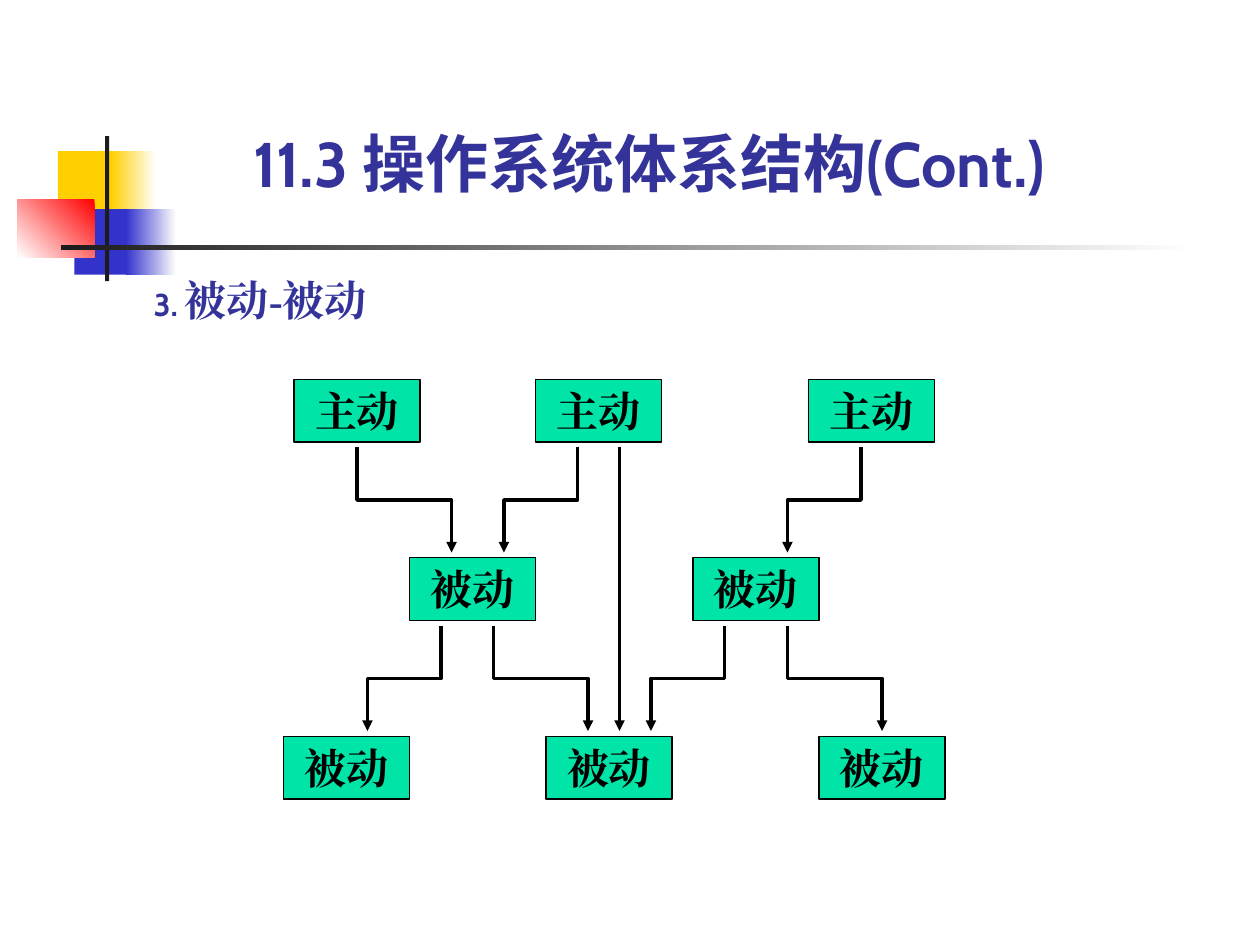
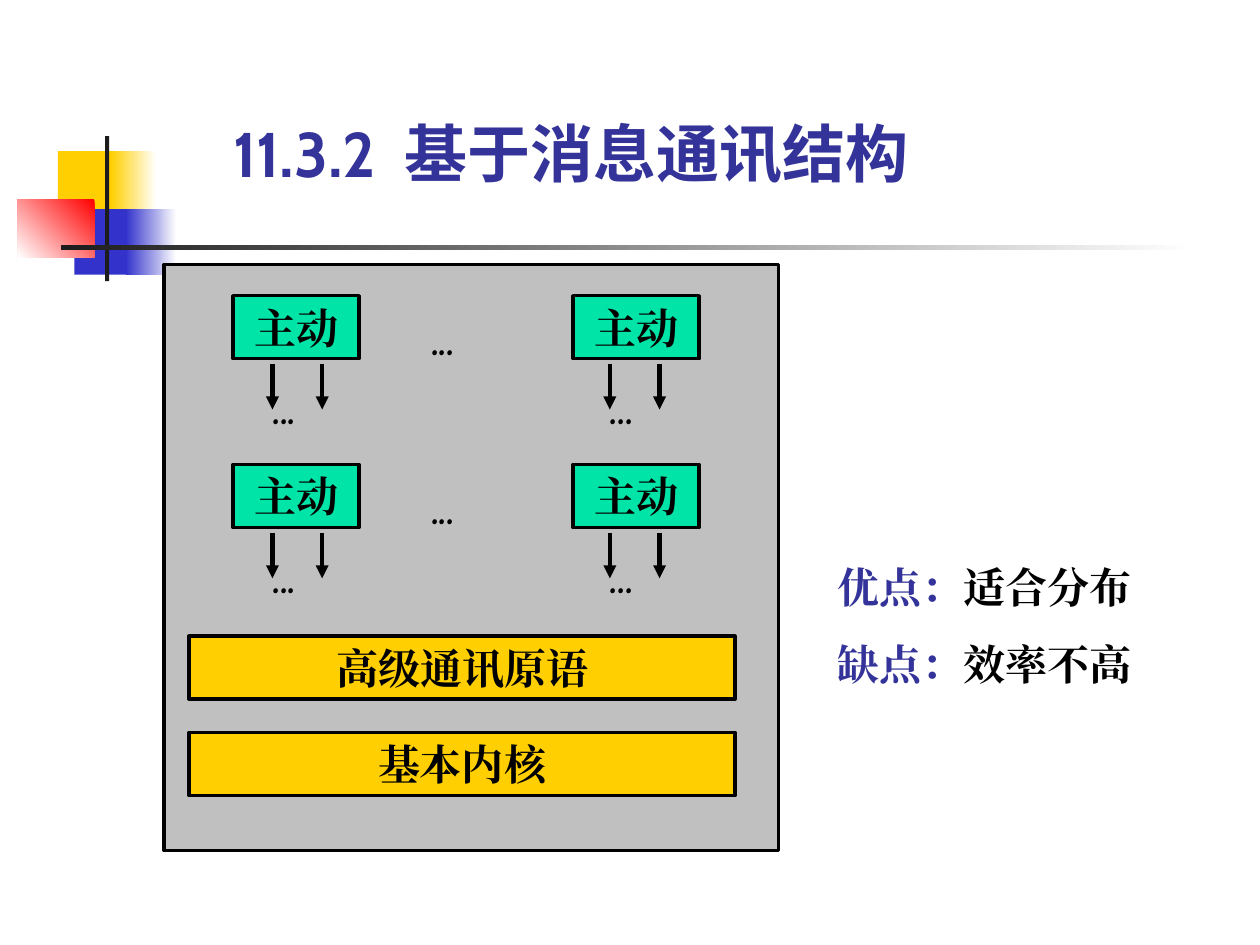
from pptx import Presentation
from pptx.dml.color import RGBColor
from pptx.enum.shapes import MSO_CONNECTOR, MSO_SHAPE
from pptx.enum.text import MSO_ANCHOR, PP_ALIGN
from pptx.oxml.ns import qn
from pptx.util import Pt
from lxml import etree

COLORS = {
    "yellow": "FFCF01", "blue": "3333CC", "red": "FF0000", "white": "FFFFFF",
    "dark": "1C1C1C", "black": "000000", "green": "00E4A8", "gray": "C0C0C0",
    "navy": "333399",
}
LATIN, BODY, DOTS = "Cabin", "Times New Roman", "Comic Neue"


def rgb(name):
    return RGBColor.from_string(COLORS[name])


def add_run(p, text, size=24, font=BODY, color="black"):
    r = p.add_run()
    r.text = text
    r.font.size, r.font.name, r.font.bold = Pt(size), font, True
    r.font.color.rgb = rgb(color)
    etree.SubElement(r.font._element, qn("a:ea")).set("typeface", font)


class Deck:
    def __init__(self):
        self.prs = Presentation()
        self.prs.slide_width, self.prs.slide_height = Pt(720), Pt(540)
        self.s = None

    def new_slide(self, title, left, top, width):
        self.s = self.prs.slides.add_slide(self.prs.slide_layouts[6])
        self.ornament()
        self.text([[(title, {"size": 36, "font": LATIN, "color": "navy"})]],
                  left, top, width, 43.2, anchor=MSO_ANCHOR.BOTTOM)

    def rect(self, left, top, width, height, fill, line=0):
        """Draw a rectangle; a (start, end, angle) fill makes a gradient."""
        sp = self.s.shapes.add_shape(MSO_SHAPE.RECTANGLE, Pt(left), Pt(top),
                                     Pt(width), Pt(height))
        sp.shadow.inherit = False
        if isinstance(fill, tuple):
            *ends, angle = fill
            sp.fill.gradient()
            sp.fill.gradient_angle = angle
            for stop, name in zip(sp.fill.gradient_stops, ends):
                stop.color.rgb = rgb(name)
        else:
            sp.fill.solid()
            sp.fill.fore_color.rgb = rgb(fill)
        if line:
            sp.line.color.rgb = rgb("black")
            sp.line.width = Pt(line)
        else:
            sp.line.fill.background()
        return sp

    def ornament(self):
        self.rect(33.1, 86.4, 34.6, 37.4, "yellow")
        self.rect(63.4, 86.4, 25.9, 37.4, ("white", "yellow", 180))
        self.rect(42.5, 119.5, 33.1, 37.4, "blue")
        self.rect(72, 119.5, 28.8, 37.4, ("white", "blue", 180))
        self.rect(10.1, 113.8, 43.9, 33.1, ("red", "white", 225))
        self.rect(60, 77.8, 2.4, 82.8, "dark")
        self.rect(34.8, 140.2, 648, 2.4, ("white", "dark", 180))

    def box(self, text, left, top, width=72, fill="green", line=2):
        tf = self.rect(left, top, width, 36, fill, line).text_frame
        tf.word_wrap = True
        tf.vertical_anchor = MSO_ANCHOR.MIDDLE
        p = tf.paragraphs[0]
        p.alignment = PP_ALIGN.CENTER
        add_run(p, text)

    def text(self, paragraphs, left, top, width, height,
             anchor=MSO_ANCHOR.TOP, spacing=None):
        """Write paragraphs, each a list of (text, format) runs."""
        tf = self.s.shapes.add_textbox(Pt(left), Pt(top), Pt(width),
                                       Pt(height)).text_frame
        tf.word_wrap = True
        tf.vertical_anchor = anchor
        tf.margin_left = tf.margin_right = tf.margin_top = tf.margin_bottom = 0
        for i, runs in enumerate(paragraphs):
            p = tf.add_paragraph() if i else tf.paragraphs[0]
            if i:
                p.space_before = Pt(15)
            if spacing:
                p.line_spacing = spacing
            for text, style in runs:
                add_run(p, text, **style)

    def dots(self, left, top):
        self.text([[("...", {"font": DOTS})]], left, top, 39.6, 23, spacing=0.8)

    def arrow(self, *points, width=2):
        """Draw an arrow: straight for two points, bent for more."""
        pts = [(Pt(x), Pt(y)) for x, y in points]
        if len(pts) == 2:
            sp = self.s.shapes.add_connector(MSO_CONNECTOR.STRAIGHT,
                                             *pts[0], *pts[1])
        else:
            builder = self.s.shapes.build_freeform(*pts[0])
            builder.add_line_segments(pts[1:], close=False)
            sp = builder.convert_to_shape()
            sp.fill.background()
        sp.line.color.rgb = rgb("black")
        sp.line.width = Pt(width)
        ln = sp._element.spPr.find(qn("a:ln"))
        etree.SubElement(ln, qn("a:tailEnd")).set("type", "triangle")
        etree.SubElement(sp._element.spPr, qn("a:effectLst"))


def passive_slide(deck):
    deck.new_slide("11.3 操作系统体系结构(Cont.)", 144.7, 71.3, 532.8)
    deck.text([[("3. ", {"size": 18, "font": LATIN, "color": "navy"}),
                ("被动-被动", {"color": "navy"})]], 87.8, 157, 150, 28.8)

    # Three levels of modules
    first_row, row_step = 216.7, 102
    levels = [("主动", (168, 306, 462)), ("被动", (234, 396)),
              ("被动", (162, 312, 468))]
    for row, (label, lefts) in enumerate(levels):
        for left in lefts:
            deck.box(label, left, first_row + row * row_step, line=0.75)

    # Calls from each level to the next
    calls = [[(204, 258), (330, 288), (492, 450)],
             [(414, 372), (252, 210), (282, 336), (450, 504)]]
    for row, pairs in enumerate(calls):
        start = first_row + row * row_step + 39
        for x1, x2 in pairs:
            deck.arrow((x1, start), (x1, start + 30),
                       (x2, start + 30), (x2, start + 60))
    deck.arrow((354, first_row + 39), (354, first_row + row_step + 99))


def message_slide(deck):
    deck.new_slide("11.3.2  基于消息通讯结构", 133.2, 65.5, 442)
    deck.rect(93.6, 151.2, 351.4, 334.8, "gray", line=2)

    # Kernel layers
    for label, top in (("高级通讯原语", 363.6), ("基本内核", 418.6)):
        deck.box(label, 108, top, 312, fill="yellow")

    # Active modules, each sending messages
    for top in (169, 265.5):
        for left, arrow_x in ((133.2, 155.7), (327.6, 348.5)):
            deck.box("主动", left, top)
            for x in (arrow_x, arrow_x + 28.4):
                deck.arrow((x, top + 39), (x, top + 65), width=2.5)
            deck.dots(arrow_x, top + 55)
        deck.dots(246.5, top + 16)

    # Pros and cons
    deck.text([[(head, {"color": "navy"}), (remark, {})] for head, remark in
               (("优点：", "适合分布"), ("缺点：", "效率不高"))],
              478.8, 321.1, 192.2, 72.7)


def main():
    deck = Deck()
    passive_slide(deck)
    message_slide(deck)
    deck.prs.save("out.pptx")


if __name__ == "__main__":
    main()
